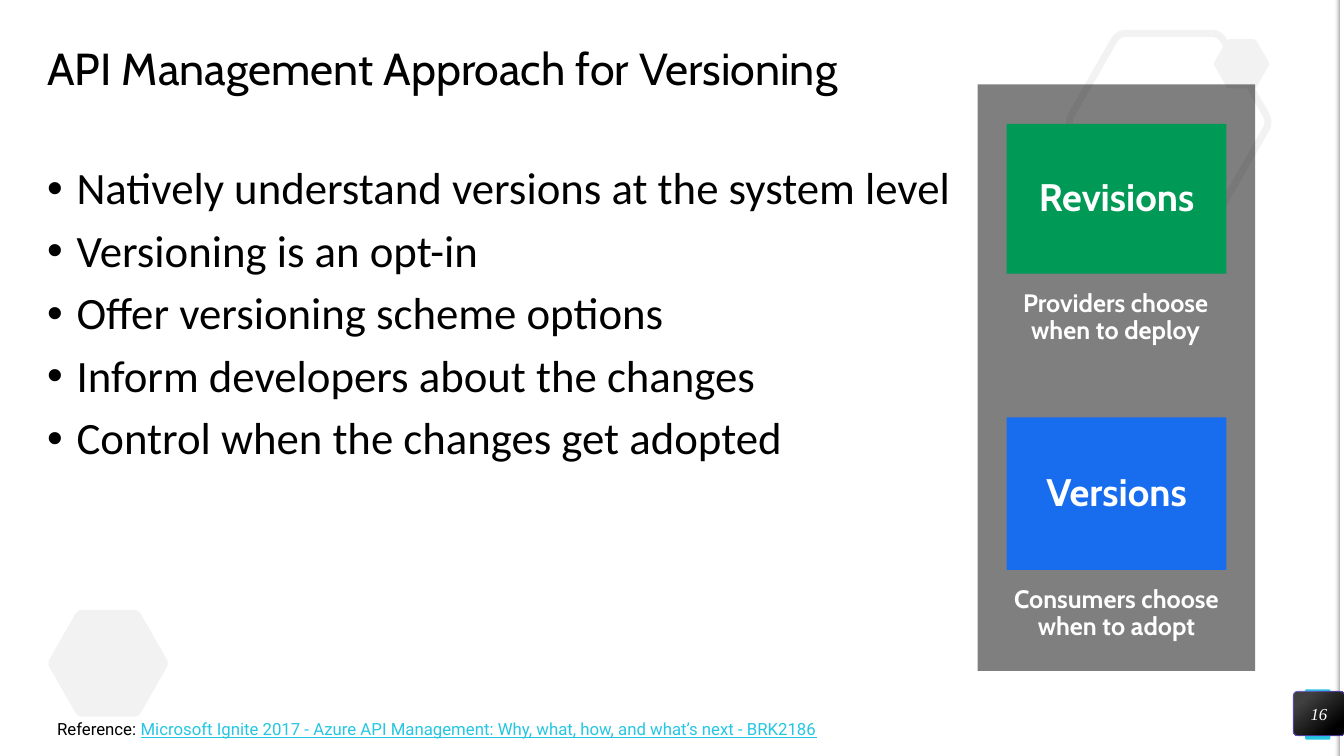
from dataclasses import dataclass

import pptx
import pptx.dml.color
import pptx.enum.shapes
import pptx.enum.text
import pptx.oxml
import pptx.oxml.ns
import pptx.presentation
import pptx.shapes.autoshape
import pptx.slide
import pptx.text.text
import pptx.util
from pptx.util import Cm, Pt

RECTANGLE = pptx.enum.shapes.MSO_SHAPE.RECTANGLE
ROUNDED = pptx.enum.shapes.MSO_SHAPE.ROUNDED_RECTANGLE
CENTER = pptx.enum.text.PP_ALIGN.CENTER
TOP = pptx.enum.text.MSO_ANCHOR.TOP
MIDDLE = pptx.enum.text.MSO_ANCHOR.MIDDLE

BLACK, WHITE, PALE, CYAN = "000000", "FFFFFF", "F2F2F2", "25C6E3"
CARD_INSETS = (0.51, 0.41)
HEXAGON_CORNERS = ((0, 0.5), (0.25, 0), (0.75, 0), (1, 0.5), (0.75, 1), (0.25, 1))
CORNER_CUT = 0.085
CURVE_STEPS = 6

BULLETS = (
    "Natively understand versions at the system level",
    "Versioning is an opt-in",
    "Offer versioning scheme options",
    "Inform developers about the changes",
    "Control when the changes get adopted",
)


@dataclass(frozen=True)
class Box:
    """Left, top, width and height in centimetres."""
    left: float
    top: float
    width: float
    height: float

    def lengths(self) -> tuple[int, int, int, int]:
        return Cm(self.left), Cm(self.top), Cm(self.width), Cm(self.height)


@dataclass(frozen=True)
class Hexagon:
    box: Box
    filled: bool


@dataclass(frozen=True)
class Card:
    name: str
    color: str
    box: Box
    caption: str
    caption_box: Box


HEXAGONS = (
    Hexagon(Box(26.9, 0.84, 5.11, 4.47), filled=False),
    Hexagon(Box(1.19, 15.37, 3.07, 2.69), filled=True),
)
SMALL_HEXAGON = Hexagon(Box(30.58, 0.99, 1.42, 1.24), filled=True)

CARDS = (
    Card("Revisions", "009955", Box(25.37, 3.12, 5.54, 3.78),
         "Providers choose when to deploy", Box(25.04, 6.91, 6.15, 2.24)),
    Card("Versions", "186DEE", Box(25.37, 10.52, 5.54, 3.84),
         "Consumers choose when to adopt", Box(24.64, 14.38, 6.99, 2.24)),
)


def rgb(color: str) -> pptx.dml.color.RGBColor:
    return pptx.dml.color.RGBColor.from_string(color)


def set_opacity(shape: pptx.shapes.autoshape.Shape, percent: int) -> None:
    """Set the opacity of the first colour in the shape's fill."""
    color = shape._element.spPr.find(".//" + pptx.oxml.ns.qn("a:srgbClr"))
    alpha = pptx.oxml.parse_xml(f'<a:alpha {pptx.oxml.ns.nsdecls("a")} val="{percent * 1000}"/>')
    color.append(alpha)


def add_shape(slide: pptx.slide.Slide, kind: pptx.enum.shapes.MSO_SHAPE, box: Box,
              color: str, radius: float | None = None) -> pptx.shapes.autoshape.Shape:
    shape = slide.shapes.add_shape(kind, *box.lengths())
    shape.shadow.inherit = False
    shape.fill.solid()
    shape.fill.fore_color.rgb = rgb(color)
    shape.line.fill.background()
    if radius is not None:
        shape.adjustments[0] = radius
    return shape


def set_gradient(shape: pptx.shapes.autoshape.Shape, angle: float,
                 stops: tuple[tuple[float, str], tuple[float, str]]) -> None:
    shape.fill.gradient()
    shape.fill.gradient_angle = angle
    for stop, (position, color) in zip(shape.fill.gradient_stops, stops):
        stop.position = position
        stop.color.rgb = rgb(color)


def add_hexagon(slide: pptx.slide.Slide, hexagon: Hexagon) -> None:
    """Draw a hexagon whose corners are rounded by quadratic curves."""
    box = hexagon.box
    corners = [(box.left + x * box.width, box.top + y * box.height) for x, y in HEXAGON_CORNERS]
    points = []
    for index, corner in enumerate(corners):
        before, after = corners[index - 1], corners[(index + 1) % len(corners)]
        start = [c + CORNER_CUT * (b - c) for c, b in zip(corner, before)]
        end = [c + CORNER_CUT * (a - c) for c, a in zip(corner, after)]
        for step in range(CURVE_STEPS + 1):
            t = step / CURVE_STEPS
            points.append(tuple(
                Cm((1 - t) ** 2 * s + 2 * t * (1 - t) * c + t ** 2 * e)
                for s, c, e in zip(start, corner, end)))
    builder = slide.shapes.build_freeform(*points[0])
    builder.add_line_segments(points[1:], close=True)
    shape = builder.convert_to_shape()
    shape.shadow.inherit = False
    if hexagon.filled:
        shape.fill.solid()
        shape.fill.fore_color.rgb = rgb(PALE)
        shape.line.fill.background()
    else:
        shape.fill.background()
        shape.line.color.rgb = rgb(PALE)
        shape.line.width = Pt(5)


def prepare_frame(shape: pptx.shapes.autoshape.Shape, insets: tuple[float, float] = (0, 0),
                  anchor: pptx.enum.text.MSO_ANCHOR = TOP) -> pptx.text.text.TextFrame:
    frame = shape.text_frame
    frame.word_wrap = True
    frame.vertical_anchor = anchor
    frame.margin_left = frame.margin_right = Cm(insets[0])
    frame.margin_top = frame.margin_bottom = Cm(insets[1])
    return frame


def write(paragraph: pptx.text.text._Paragraph, text: str, *, font: str, size: float,
          color: str = BLACK, bold: bool = False, italic: bool = False,
          underline: bool = False, align: pptx.enum.text.PP_ALIGN | None = None,
          spacing: float | None = None, before: float = 0, after: float = 0) -> None:
    paragraph.alignment = align
    paragraph.line_spacing = spacing
    paragraph.space_before, paragraph.space_after = Pt(before), Pt(after)
    run = paragraph.add_run()
    run.text = text
    run.font.name, run.font.size = font, Pt(size)
    run.font.color.rgb = rgb(color)
    run.font.bold, run.font.italic, run.font.underline = bold, italic, underline


def add_bullet(paragraph: pptx.text.text._Paragraph, indent: float) -> None:
    properties = paragraph._p.get_or_add_pPr()
    properties.set("marL", str(Cm(indent)))
    properties.set("indent", str(-Cm(indent)))
    namespace = pptx.oxml.ns.nsdecls("a")
    properties.append(pptx.oxml.parse_xml(f'<a:buFont {namespace} typeface="Arial"/>'))
    properties.append(pptx.oxml.parse_xml(f'<a:buChar {namespace} char="•"/>'))


def draw_background(slide: pptx.slide.Slide) -> None:
    for hexagon in HEXAGONS:
        add_hexagon(slide, hexagon)
    add_shape(slide, RECTANGLE, Box(32.77, 0, 0.99, 19.05), WHITE)
    add_shape(slide, ROUNDED, Box(32.89, 17.37, 0.64, 1.27), CYAN, radius=0.07)
    edge = add_shape(slide, RECTANGLE, Box(33.62, 0, 0.13, 19.05), PALE)
    set_gradient(edge, 0, ((0, PALE), (1, "A6A6A6")))
    set_opacity(edge, 0)
    add_hexagon(slide, SMALL_HEXAGON)


def draw_cards(slide: pptx.slide.Slide) -> None:
    panel = add_shape(slide, RECTANGLE, Box(24.64, 2.13, 6.99, 14.78), BLACK)
    set_opacity(panel, 50)
    for card in CARDS:
        tile = add_shape(slide, RECTANGLE, card.box, card.color)
        caption = slide.shapes.add_textbox(*card.caption_box.lengths())
        for shape, text, size, anchor in ((tile, card.name, 27.4, MIDDLE),
                                          (caption, card.caption, 18, TOP)):
            frame = prepare_frame(shape, CARD_INSETS, anchor)
            write(frame.paragraphs[0], text, font="Cabin", size=size, color=WHITE,
                  bold=True, align=CENTER, spacing=0.9, after=6)


def draw_texts(slide: pptx.slide.Slide) -> None:
    title = slide.shapes.add_textbox(*Box(1.19, 1.19, 31.47, 1.19).lengths())
    write(prepare_frame(title, anchor=MIDDLE).paragraphs[0],
          "API Management Approach for Versioning", font="Cabin", size=32, spacing=0.9)

    body = prepare_frame(slide.shapes.add_textbox(*Box(1.19, 4.19, 22.91, 13).lengths()))
    for index, text in enumerate(BULLETS):
        paragraph = body.add_paragraph() if index else body.paragraphs[0]
        add_bullet(paragraph, 0.74)
        write(paragraph, text, font="Calibri", size=32, spacing=0.9, before=10 if index else 0)

    reference = slide.shapes.add_textbox(*Box(1.19, 17.98, 20.4, 0.76).lengths())
    line = prepare_frame(reference, (0.25, 0.13)).paragraphs[0]
    write(line, "Reference: ", font="Roboto", size=12)
    write(line, "Microsoft Ignite 2017 - Azure API Management: Why, what, how, and what’s next - BRK2186",
          font="Roboto", size=12, color=CYAN, underline=True)


def draw_page_number(slide: pptx.slide.Slide) -> None:
    badge = add_shape(slide, ROUNDED, Box(32.59, 17.42, 1.3, 1.12), BLACK, radius=0.1)
    set_gradient(badge, 310, ((0.2, "404040"), (0.82, BLACK)))
    badge.line.color.rgb = rgb("6A50DB")
    badge.line.width = Pt(0.5)
    write(prepare_frame(badge, anchor=MIDDLE).paragraphs[0], "16", font="Times New Roman",
          size=12, color=WHITE, italic=True, align=CENTER, after=6)


def main() -> None:
    presentation = pptx.Presentation()
    presentation.slide_width, presentation.slide_height = Cm(33.87), Cm(19.05)
    slide = presentation.slides.add_slide(presentation.slide_layouts[6])
    draw_background(slide)
    draw_cards(slide)
    draw_texts(slide)
    draw_page_number(slide)
    presentation.save("out.pptx")


if __name__ == "__main__":
    main()
